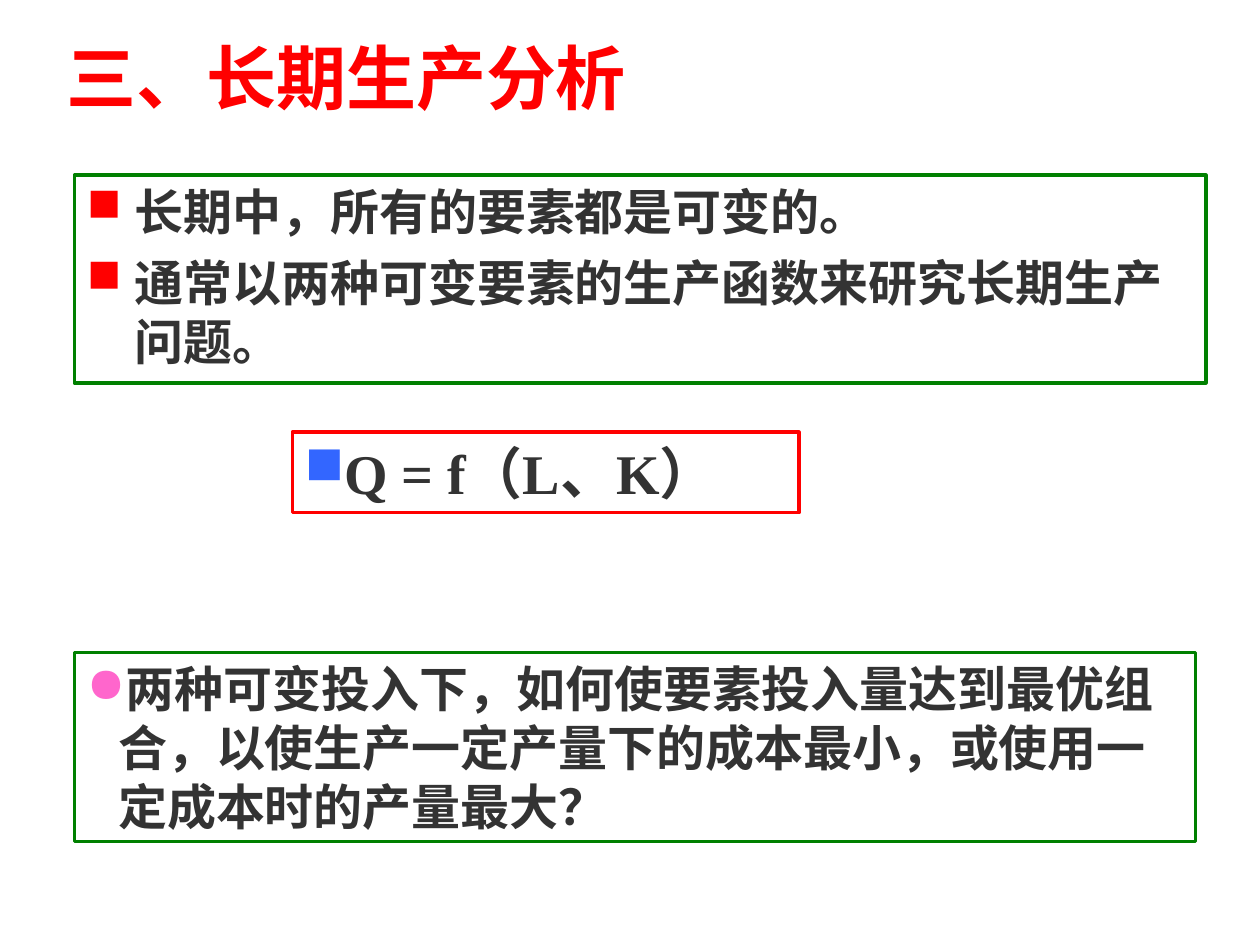
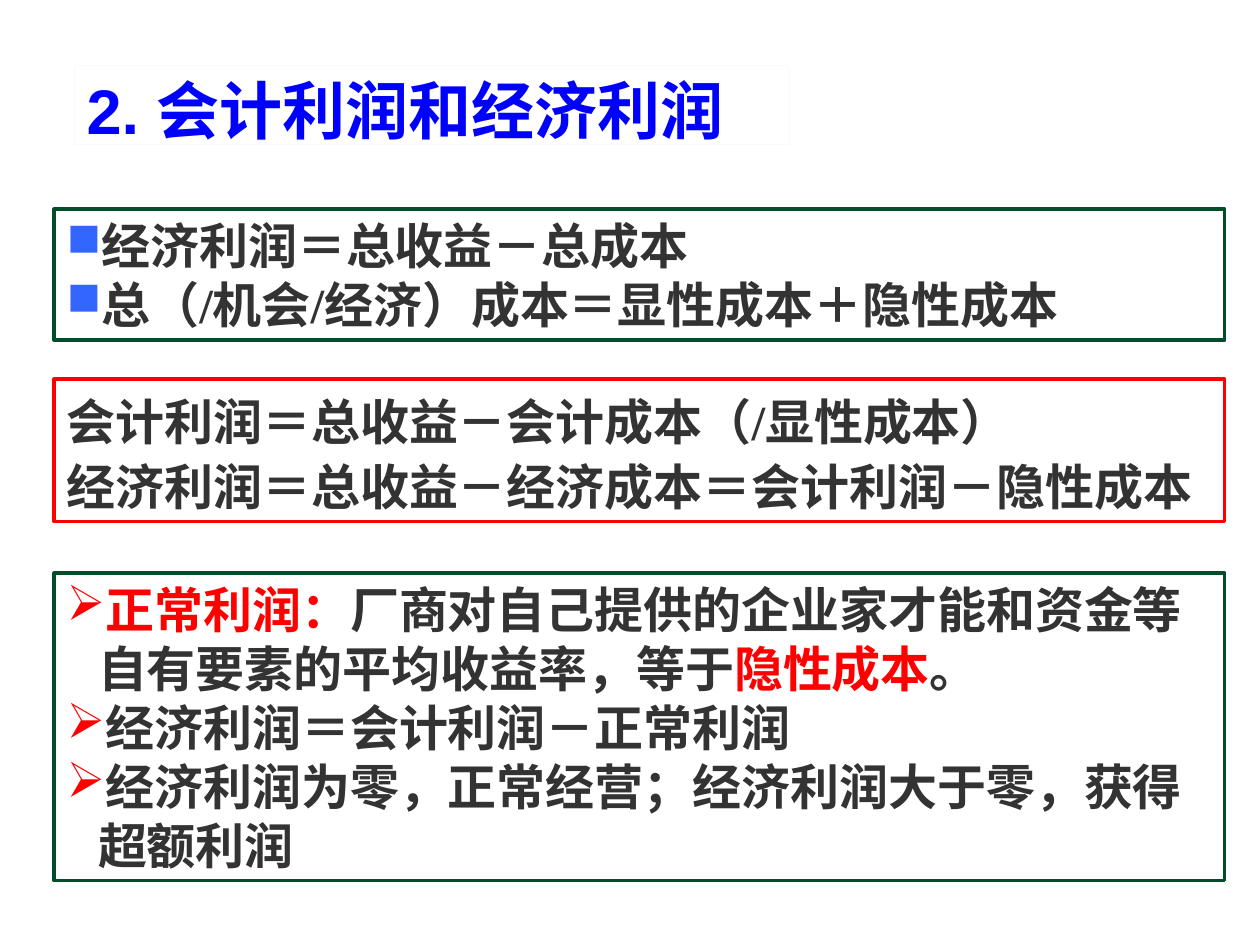
from lxml import etree
from pptx import Presentation
from pptx import util as u
from pptx.dml.color import RGBColor
from pptx.enum import lang, shapes, text
from pptx.oxml.ns import qn

PX = 9144  # EMU; 100 px to the inch
COLORS = {
    "white": "FFFFFF", "ink": "333333", "red": "FF0000", "blue": "0000FF",
    "green": "008000", "forest": "004C2B", "blush": "FFF7FF",
    "azure": "3366FF", "pink": "FF66CC",
}
# Bullet: character, colour, size in percent
RED_SQUARE = ("■", "red", 95)
BLUE_SQUARE = ("■", "azure", 95)
PINK_DOT = ("●", "pink", 100)
RED_ARROW = ("➢", "red", 100)
TOP, MIDDLE, BOTTOM = (text.MSO_ANCHOR.TOP, text.MSO_ANCHOR.MIDDLE,
                       text.MSO_ANCHOR.BOTTOM)


def rgb(name):
    return RGBColor.from_string(COLORS[name])


class SlideBuilder:
    """Holds the deck style and the current page."""

    def __init__(self):
        self.deck = Presentation()
        self.deck.slide_width = 1000 * PX
        self.deck.slide_height = 750 * PX
        self.page = None

    def new_page(self):
        self.page = self.deck.slides.add_slide(self.deck.slide_layouts[6])

    def title(self, place, words, size, color, border=None, anchor=TOP):
        if border:
            box = self.frame(place, border, 0.75)
        else:
            box = self.page.shapes.add_textbox(*(n * PX for n in place))
        self.fill_text(box, [words], size, "Arial", color, anchor)

    def frame(self, place, border, width=2, opacity=100):
        """White rectangle with a coloured border."""
        box = self.page.shapes.add_shape(
            shapes.MSO_SHAPE.RECTANGLE, *(n * PX for n in place))
        box.shadow.inherit = False
        box.fill.solid()
        box.fill.fore_color.rgb = rgb("white")
        if opacity < 100:
            fill = box.element.spPr.find(qn("a:solidFill"))
            etree.SubElement(fill[0], qn("a:alpha"), val=str(opacity * 1000))
        box.line.color.rgb = rgb(border)
        box.line.width = u.Pt(width)
        return box

    def panel(self, place, border, lines, size=28, font="Times New Roman",
              anchor=MIDDLE, opacity=100, grow=True, **layout):
        box = self.frame(place, border, opacity=opacity)
        self.fill_text(box, lines, size, font, "ink", anchor, **layout)
        if grow:
            box.text_frame.auto_size = text.MSO_AUTO_SIZE.SHAPE_TO_FIT_TEXT

    def fill_text(self, box, lines, size, font, color, anchor,
                  bullet=None, hang=25, gap=0, spacing=None):
        """A line is a string, or a list of (words, colour) spans."""
        frame = box.text_frame
        frame.word_wrap = True
        frame.vertical_anchor = anchor
        for index, line in enumerate(lines):
            para = frame.add_paragraph() if index else frame.paragraphs[0]
            para.alignment = text.PP_ALIGN.LEFT
            if index and gap:
                para.space_before = u.Pt(gap)
            if spacing:
                para.line_spacing = spacing
            if bullet:
                self.bullet(para, bullet, hang)
            para.font.size = u.Pt(size)
            para.font.name = font
            para.font.bold = True
            mixed = not isinstance(line, str)
            if not mixed:
                para.font.color.rgb = rgb(color)
            for words, tint in line if mixed else [(line, color)]:
                span = para.add_run()
                span.text = words
                span.font.language_id = lang.MSO_LANGUAGE_ID.SIMPLIFIED_CHINESE
                if mixed:
                    span.font.color.rgb = rgb(tint)

    def bullet(self, para, bullet, hang):
        mark, color, percent = bullet
        props = para._p.get_or_add_pPr()
        props.set("marL", str(hang * PX))
        props.set("indent", str(-hang * PX))
        tint = etree.SubElement(props, qn("a:buClr"))
        etree.SubElement(tint, qn("a:srgbClr"), val=COLORS[color])
        etree.SubElement(props, qn("a:buSzPct"), val=str(percent * 1000))
        etree.SubElement(props, qn("a:buChar"), char=mark)


def long_run_page(builder):
    builder.new_page()
    builder.title((43, 36, 653, 63), "三、长期生产分析", 40, "red",
                  anchor=BOTTOM)
    # Premises
    builder.panel((59, 139, 898, 165), "green",
                  ["长期中，所有的要素都是可变的。",
                   "通常以两种可变要素的生产函数来研究长期生产问题。"],
                  font="Arial", anchor=TOP, grow=False,
                  bullet=RED_SQUARE, hang=38, gap=7)
    # Production function
    builder.panel((232, 343, 402, 64), "red", ["Q = f（L、K）"],
                  size=32, anchor=TOP, bullet=BLUE_SQUARE)
    # Question
    builder.panel((59, 518, 890, 150), "green",
                  ["两种可变投入下，如何使要素投入量达到最优组合，"
                   "以使生产一定产量下的成本最小，"
                   "或使用一定成本时的产量最大？"],
                  opacity=66, bullet=PINK_DOT)


def profit_page(builder):
    left, width = 43, 929
    builder.new_page()
    builder.title((59, 52, 567, 63), "2. 会计利润和经济利润", 36, "blue",
                  border="blush")
    # Cost identities
    builder.panel((left, 166, width, 104), "forest",
                  ["经济利润＝总收益－总成本",
                   "总（/机会/经济）成本＝显性成本＋隐性成本"],
                  bullet=BLUE_SQUARE)
    # Accounting and economic profit
    builder.panel((left, 301, width, 113), "red",
                  ["会计利润＝总收益－会计成本（/显性成本）",
                   "经济利润＝总收益－经济成本＝会计利润－隐性成本"],
                  spacing=1.1)
    # Normal profit
    builder.panel((left, 455, width, 244), "forest",
                  [[("正常利润：", "red"),
                    ("厂商对自己提供的企业家才能和资金等"
                     "自有要素的平均收益率，等于", "ink"),
                    ("隐性成本", "red"), ("。", "ink")],
                   "经济利润＝会计利润－正常利润",
                   "经济利润为零，正常经营；经济利润大于零，获得超额利润"],
                  bullet=RED_ARROW)


def main():
    builder = SlideBuilder()
    long_run_page(builder)
    profit_page(builder)
    builder.deck.save("out.pptx")


if __name__ == "__main__":
    main()
